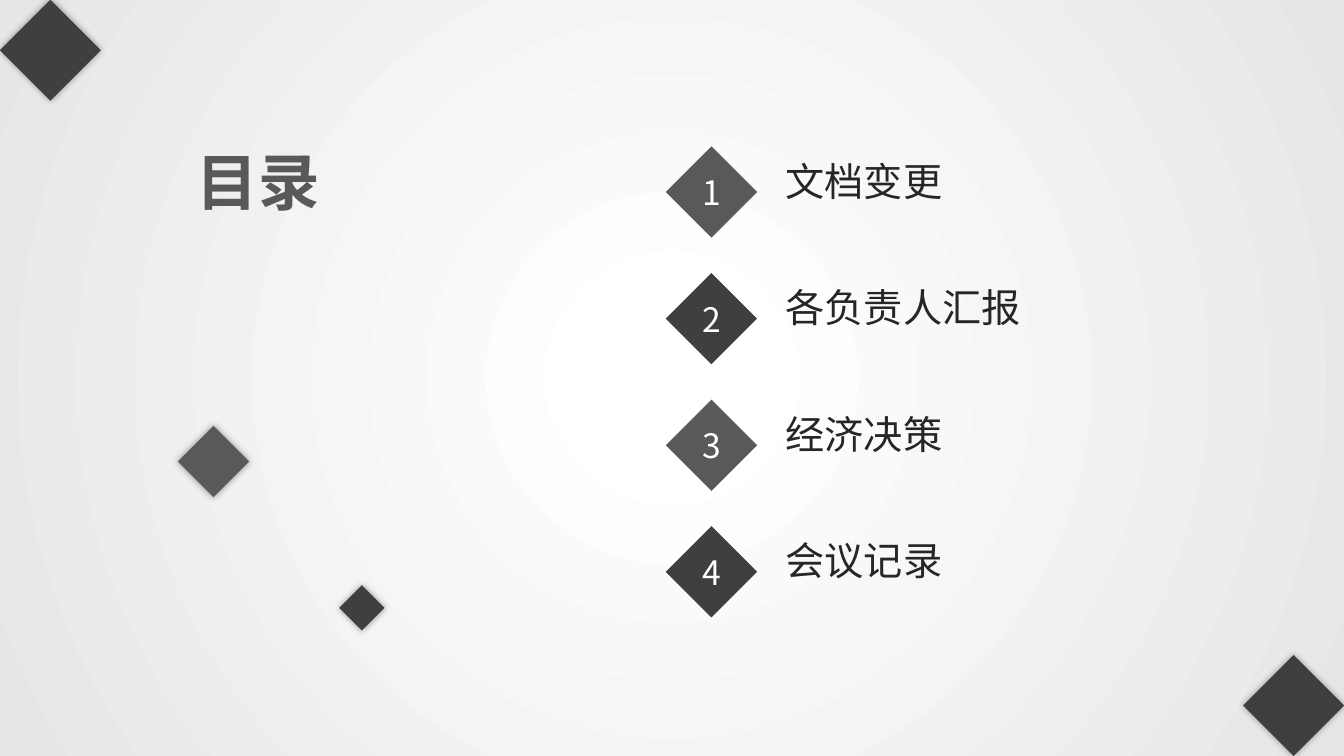
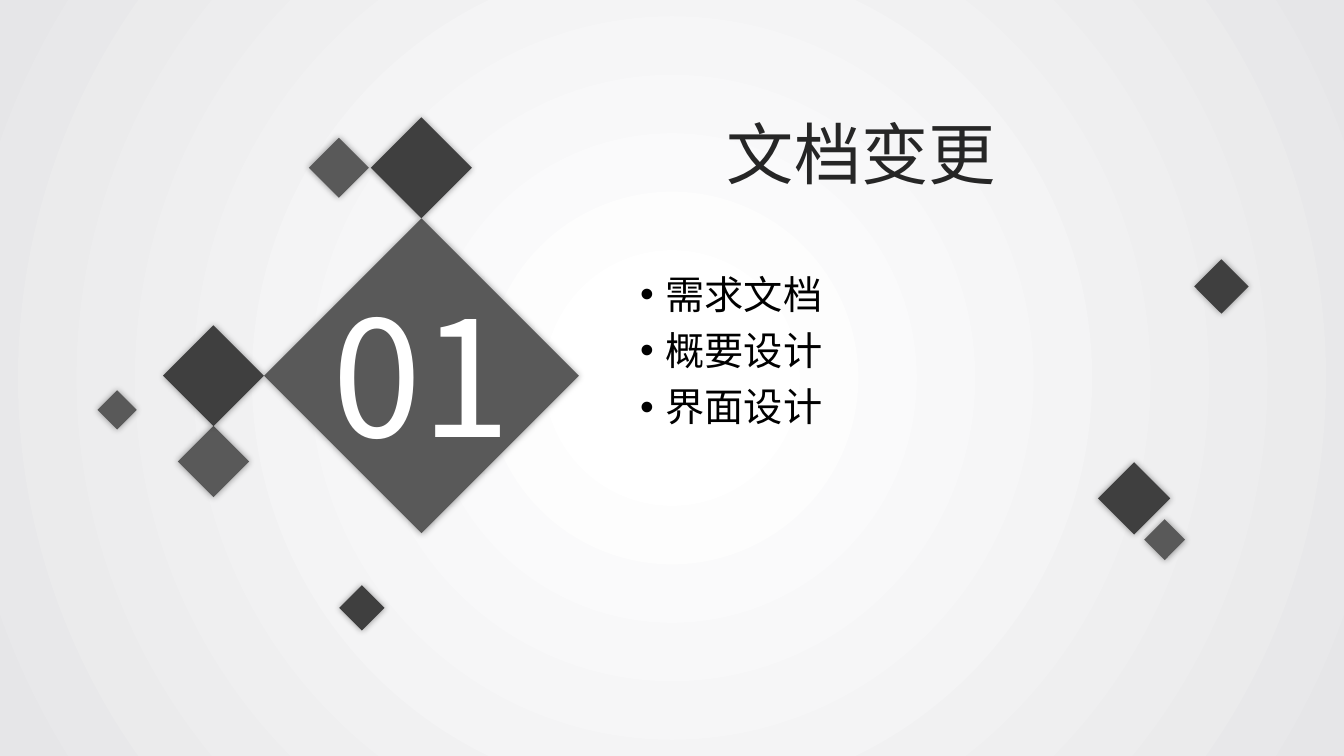
from lxml import etree
from pptx import Presentation
from pptx.dml.color import RGBColor
from pptx.enum.shapes import MSO_SHAPE
from pptx.enum.text import MSO_ANCHOR, MSO_AUTO_SIZE, PP_ALIGN
from pptx.oxml import parse_xml
from pptx.oxml.ns import nsdecls, qn
from pptx.util import Cm, Pt

SQUARE, DIAMOND = MSO_SHAPE.RECTANGLE, MSO_SHAPE.DIAMOND
LEFT, CENTER = PP_ALIGN.LEFT, PP_ALIGN.CENTER
TOP, MIDDLE = MSO_ANCHOR.TOP, MSO_ANCHOR.MIDDLE
FIXED = MSO_AUTO_SIZE.NONE

FONT = "Noto Sans CJK SC"
WHITE = RGBColor(0xFF, 0xFF, 0xFF)
HAZE = RGBColor(0xE6, 0xE6, 0xE8)
GREY = RGBColor(0x59, 0x59, 0x59)
DARK = RGBColor(0x3F, 0x3F, 0x3F)
INK = RGBColor(0x26, 0x26, 0x26)
BLACK = RGBColor(0, 0, 0)

WIDE, HIGH = 33.87, 19.05
TILE = 1.8       # side of the common tile
HALF = 1.27      # half its diagonal
TITLE_ONLY, TITLE_BODY = 5, 1


def write(frame, text, size=28, color=INK, align=LEFT, bold=False,
          anchor=MIDDLE, wrap=True):
    """Fill a text frame, one paragraph per line of text; return them."""
    frame.word_wrap = wrap
    frame.auto_size = FIXED
    frame.vertical_anchor = anchor
    frame.text = text
    for para in frame.paragraphs:
        para.alignment = align
        run = para.runs[0]
        font = run.font
        font.size, font.bold = Pt(size), bold
        font.color.rgb = color
        font.name = FONT
        east = etree.SubElement(run._r.get_or_add_rPr(), qn("a:ea"))
        east.set("typeface", FONT)
    return frame.paragraphs


def place(shape, x, y, w, h):
    shape.left, shape.top = Cm(x), Cm(y)
    shape.width, shape.height = Cm(w), Cm(h)


def label(shapes, x, y, w, h, text, **style):
    box = shapes.add_textbox(Cm(x), Cm(y), Cm(w), Cm(h))
    write(box.text_frame, text, **style)


def block(shapes, kind, x, y, side, color):
    shape = shapes.add_shape(kind, Cm(x), Cm(y), Cm(side), Cm(side))
    shape.fill.solid()
    shape.fill.fore_color.rgb = color
    shape.line.fill.background()
    shape.shadow.inherit = False
    return shape


def tile(slide, x, y, side=TILE, color=DARK):
    """Draw a square turned on its corner, centred on x, y, with a soft glow."""
    shape = block(slide.shapes, SQUARE, x - side / 2, y - side / 2, side, color)
    shape.rotation = 45
    glow = parse_xml(
        f'<a:outerShdw {nsdecls("a")} blurRad="63500" algn="ctr" rotWithShape="0">'
        '<a:srgbClr val="000000"><a:alpha val="40000"/></a:srgbClr></a:outerShdw>')
    shape._element.spPr.find(qn("a:effectLst")).append(glow)


def backdrop(master):
    """Give all slides the round gradient."""
    fill = master.background.fill
    fill.gradient()
    for stop, (pos, color) in zip(fill.gradient_stops, ((0.09, WHITE), (1, HAZE))):
        stop.position = pos
        stop.color.rgb = color
    grad = next(master.element.iter(qn("a:gradFill")))
    for lin in grad.findall(qn("a:lin")):
        grad.remove(lin)
    grad.append(parse_xml(
        f'<a:path {nsdecls("a")} path="circle">'
        '<a:fillToRect l="50000" t="50000" r="50000" b="50000"/></a:path>'))


def start(deck, layout):
    """Add a slide with the two tiles that all slides share."""
    slide = deck.slides.add_slide(deck.slide_layouts[layout])
    tile(slide, 5.38, 11.63, 1.27, GREY)
    tile(slide, 9.12, 15.32, 0.81)
    return slide


def head(slide, x, y, w, h, text, **style):
    title = slide.shapes.title
    place(title, x, y, w, h)
    write(title.text_frame, text, **style)


def agenda(slide, x, y, items, step=3.19, side=2.3):
    for i, item in enumerate(items):
        top = y + i * step
        row = slide.shapes.add_group_shape().shapes
        mark = block(row, DIAMOND, x, top, side, DARK if i % 2 else GREY)
        write(mark.text_frame, str(i + 1), size=24, color=WHITE, align=CENTER)
        label(row, x + 2.77, top + 0.14, 6.66, 1.44, item)


def bullets(slide, x, y, w, h, items):
    body = slide.placeholders[1]
    place(body, x, y, w, h)
    for para in write(body.text_frame, "\n".join(items), color=BLACK, anchor=TOP):
        para.line_spacing = 0.9
        para.space_before = Pt(10)
        props = para._p.get_or_add_pPr()
        props.set("marL", str(Cm(0.64)))
        props.set("indent", str(-Cm(0.64)))
        face = etree.SubElement(props, qn("a:buFont"))
        face.set("typeface", "Arial")
        etree.SubElement(props, qn("a:buChar")).set("char", "•")


def badge(slide, x, y, number):
    """Draw the big numbered tile, centred on x, y, and its small neighbours."""
    reach = 3.97 + HALF
    tile(slide, x, y, 5.61, GREY)
    tile(slide, x, y - reach)
    tile(slide, x - reach, y)
    tile(slide, x - 2.08, y - reach, 1.07, GREY)
    tile(slide, x - 7.67, y + 0.86, 0.7, GREY)
    label(slide.shapes, x - 3.1, y - 2.67, 6.2, 5.2, number,
          size=115, color=WHITE, align=CENTER, wrap=False)


def contents(deck, title, items):
    slide = start(deck, TITLE_ONLY)
    head(slide, 4.7, 3.48, 9.32, 2.13, title, size=44, color=GREY, bold=True)
    agenda(slide, 16.78, 3.69, items)
    tile(slide, HALF, HALF)
    tile(slide, WIDE - HALF, HIGH - HALF)


def section(deck, number, title, items):
    slide = start(deck, TITLE_BODY)
    head(slide, 15.34, 2.69, 12.73, 2.31, title, size=48, align=CENTER)
    bullets(slide, 15.88, 6.81, 15.67, 10.34, items)
    badge(slide, 10.62, 9.47, number)
    tile(slide, 28.58, 12.56, 1.29)
    tile(slide, 29.35, 13.6, 0.73, GREY)
    tile(slide, 30.78, 7.22, 0.97)


def main():
    deck = Presentation()
    deck.slide_width, deck.slide_height = Cm(WIDE), Cm(HIGH)
    backdrop(deck.slide_master)
    contents(deck, "目录", ["文档变更", "各负责人汇报", "经济决策", "会议记录"])
    section(deck, "01", "文档变更", ["需求文档", "概要设计", "界面设计"])
    deck.save("out.pptx")


if __name__ == "__main__":
    main()
